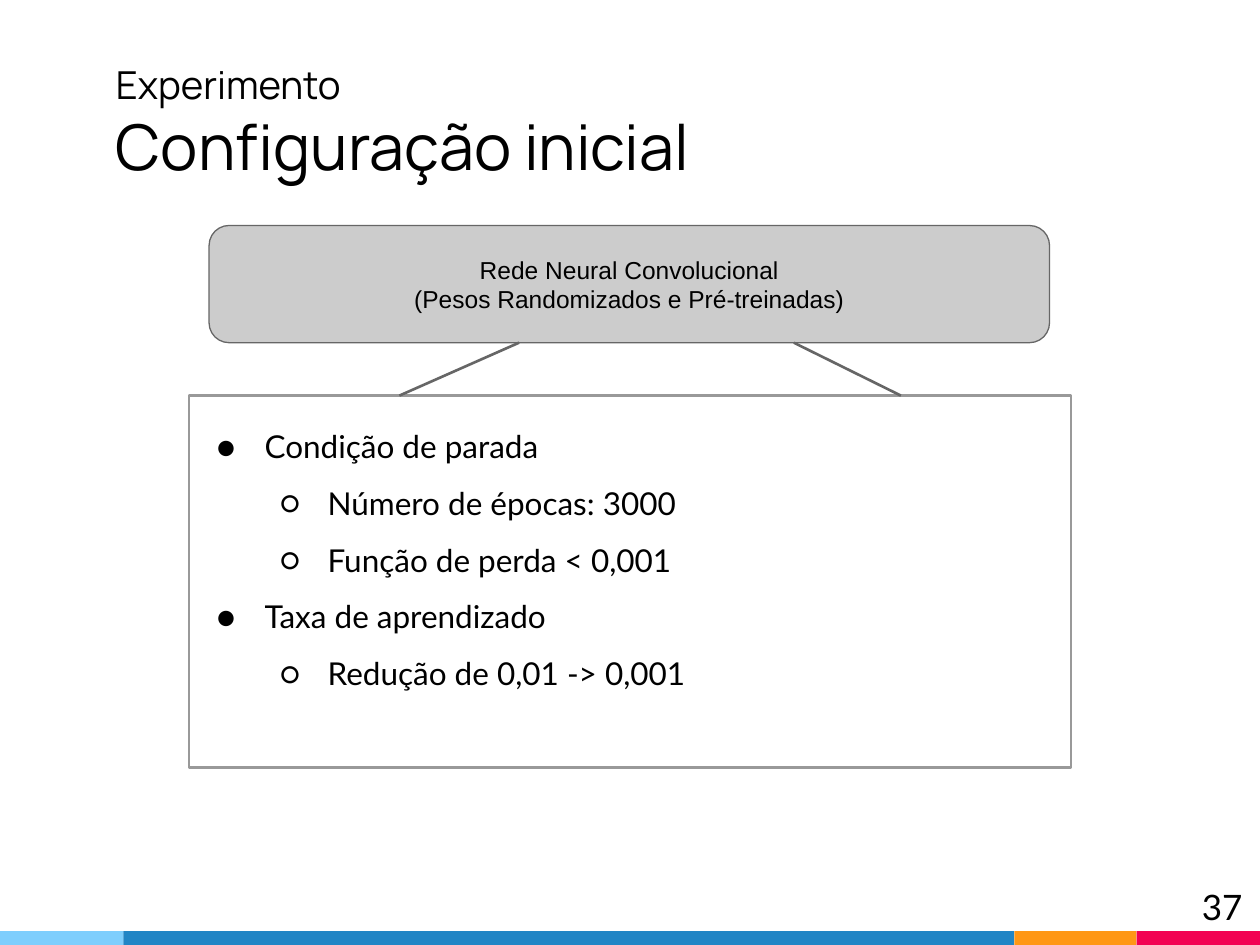
from lxml import etree
from pptx import Presentation
from pptx import util as u
from pptx.dml.color import RGBColor
from pptx.enum import shapes as sh, text as tx
from pptx.oxml.ns import qn

# Grid of 100 columns by 75 rows on a 10 x 7.5 inch slide
COLS, ROWS = 100, 75
WIDE, HIGH = u.Inches(10), u.Inches(7.5)
HUES = {
    "ink": "000000", "net": "CCCCCC", "edge": "666666", "frame": "999999",
    "sky": "7ECEFD", "blue": "2185C5", "gold": "FF9715", "red": "F20253",
}
ITEMS = [
    (0, "Condição de parada"),
    (1, "Número de épocas: 3000"),
    (1, "Função de perda < 0,001"),
    (0, "Taxa de aprendizado"),
    (1, "Redução de 0,01 -> 0,001"),
]


def hue(name):
    return RGBColor.from_string(HUES[name])


def grid(*cells):
    """Turn column, row, column, row ... into slide lengths."""
    return [round(c * (HIGH / ROWS if i % 2 else WIDE / COLS))
            for i, c in enumerate(cells)]


def place(part, box):
    part.left, part.top, part.width, part.height = grid(*box)


def setup(part, anchor):
    frame = part.text_frame
    frame.word_wrap = True
    frame.auto_size = tx.MSO_AUTO_SIZE.NONE
    frame.vertical_anchor = anchor
    frame.margin_left = frame.margin_right = u.Inches(0.1)
    frame.margin_top = frame.margin_bottom = u.Inches(0.1)
    return frame


def write(para, words, size, font):
    run = para.add_run()
    run.text = words
    run.font.size = u.Pt(size)
    run.font.name = font
    run.font.color.rgb = hue("ink")


def stroke(line, name, width):
    line.color.rgb = hue(name)
    line.width = u.Pt(width)


def block(slide, kind, box, fill):
    part = slide.shapes.add_shape(kind, *grid(*box))
    part.shadow.inherit = False
    part.fill.solid()
    part.fill.fore_color.rgb = hue(fill)
    part.line.fill.background()
    return part


def footer(slide, box):
    # Colour strip: shares of the full width
    left, top, width, height = box
    for name, share in (("sky", 0.098), ("blue", 0.707),
                        ("gold", 0.097), ("red", 0.098)):
        block(slide, sh.MSO_SHAPE.RECTANGLE,
              (left, top, width * share, height), name)
        left += width * share
    # Page number
    page = slide.shapes.add_textbox(*grid(93.6, top - 4.6, 6, 5.7))
    para = setup(page, tx.MSO_ANCHOR.TOP).paragraphs[0]
    para.alignment = tx.PP_ALIGN.RIGHT
    write(para, "37", 20, "Lato")


def heading(slide, box):
    title = slide.shapes.title
    place(title, box)
    para = setup(title, tx.MSO_ANCHOR.BOTTOM).paragraphs[0]
    para.alignment = tx.PP_ALIGN.LEFT
    write(para, "Experimento", 22, "Manrope")
    para.add_line_break()
    write(para, "Configuração inicial", 36, "Manrope")


def network(slide, box):
    part = block(slide, sh.MSO_SHAPE.ROUNDED_RECTANGLE, box, "net")
    part.adjustments[0] = 0.17
    stroke(part.line, "edge", 0.75)
    frame = setup(part, tx.MSO_ANCHOR.MIDDLE)
    for i, words in enumerate(("Rede Neural Convolucional",
                               "(Pesos Randomizados e Pré-treinadas)")):
        para = frame.add_paragraph() if i else frame.paragraphs[0]
        para.alignment = tx.PP_ALIGN.CENTER
        write(para, words, 14, "Arial")


def bullet(para, level):
    props = para._p.get_or_add_pPr()
    props.set("marL", str(u.Inches(0.5 * (level + 1))))
    props.set("indent", str(-u.Inches(0.38)))
    tint = etree.SubElement(props, qn("a:buClr"))
    etree.SubElement(tint, qn("a:srgbClr"), val=HUES["ink"])
    etree.SubElement(props, qn("a:buFont"), typeface="Lato")
    etree.SubElement(props, qn("a:buChar"), char="●○"[level])


def settings(slide, box):
    body = slide.placeholders[1]
    place(body, box)
    stroke(body.line, "frame", 1.5)
    frame = setup(body, tx.MSO_ANCHOR.TOP)
    for i, (level, words) in enumerate(ITEMS):
        para = frame.add_paragraph() if i else frame.paragraphs[0]
        para.level = level
        para.line_spacing = 1.5
        para.space_before = para.space_after = u.Pt(0)
        bullet(para, level)
        write(para, words, 18, "Lato")


def links(slide, top, low):
    # Lines that open out from the network to the settings
    for start, end in ((41.2, 31.7), (63, 71.5)):
        link = slide.shapes.add_connector(
            sh.MSO_CONNECTOR.STRAIGHT, *grid(start, top, end, low))
        stroke(link.line, "edge", 1.5)
        etree.SubElement(link._element.spPr, qn("a:effectLst"))


def main():
    deck = Presentation()
    deck.slide_width, deck.slide_height = WIDE, HIGH
    slide = deck.slides.add_slide(deck.slide_layouts[1])
    footer(slide, (0, 73.9, COLS, 1.1))
    heading(slide, (8.2, 3, 91.3, 12.5))
    network(slide, (16.6, 17.9, 66.7, 9.3))
    settings(slide, (15, 31.4, 70, 29.5))
    links(slide, 27.2, 31.4)
    deck.save("out.pptx")


if __name__ == "__main__":
    main()
